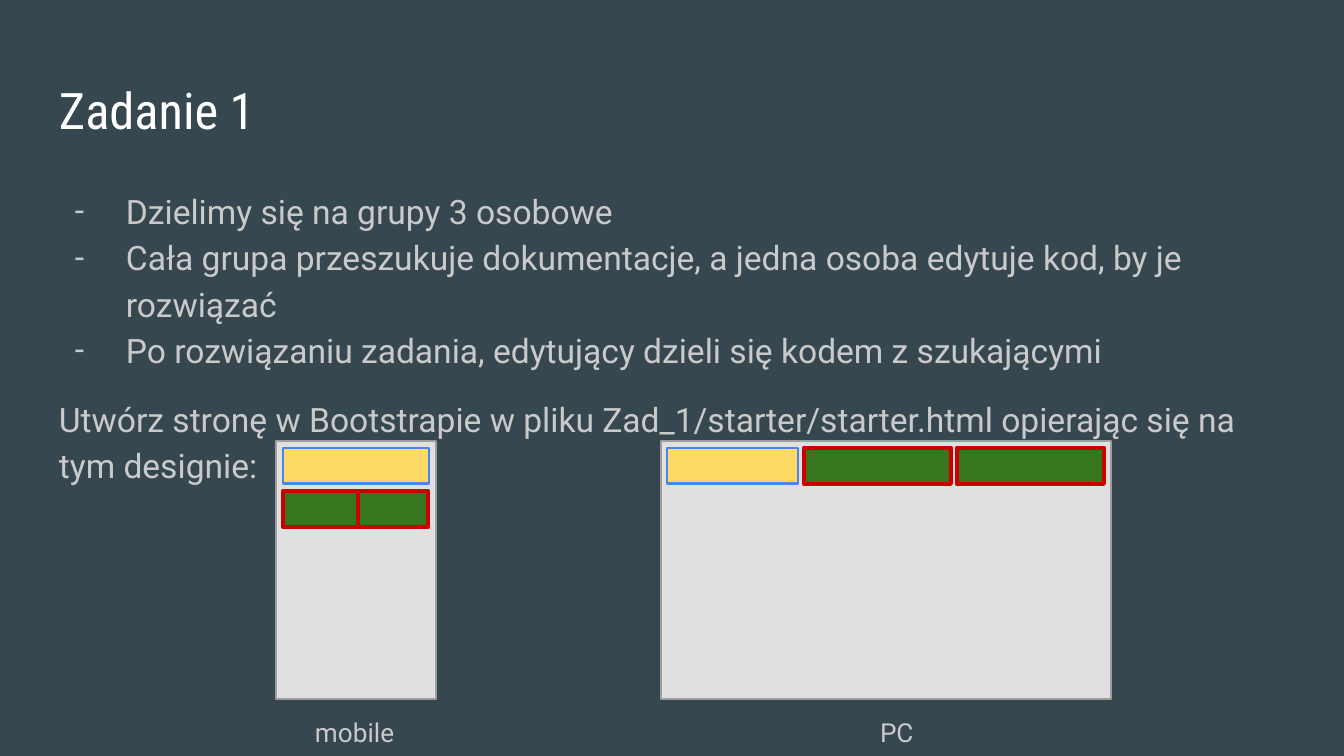
from pptx import Presentation
from pptx.dml.color import RGBColor
from pptx.enum.shapes import MSO_SHAPE
from pptx.enum.text import MSO_ANCHOR, PP_ALIGN
from pptx.oxml.ns import qn
from pptx.util import Pt
from lxml.etree import SubElement

PX = 914400 / 134.4
INSET = 13

BACKGROUND = RGBColor(0x37, 0x47, 0x4F)
WHITE = RGBColor(0xFF, 0xFF, 0xFF)
TEXT = RGBColor(0xCA, 0xCA, 0xCA)
SCREEN = RGBColor(0xE0, 0xE0, 0xE0)
SCREEN_EDGE = RGBColor(0x9E, 0x9E, 0x9E)
YELLOW = RGBColor(0xFF, 0xD9, 0x66)
BLUE = RGBColor(0x4A, 0x86, 0xE8)
GREEN = RGBColor(0x38, 0x76, 0x1D)
RED = RGBColor(0xCC, 0x00, 0x00)

SCREEN_STYLE = (SCREEN, SCREEN_EDGE, 0.75)
YELLOW_STYLE = (YELLOW, BLUE, 1.5)
GREEN_STYLE = (GREEN, RED, 2.25)

SCREEN_TOP, SCREEN_HEIGHT = 441, 258
BLOCK_HEIGHT = 36
FIRST_ROW, SECOND_ROW = 448, 491
LABEL_TOP, LABEL_HEIGHT = 703, 59

TASKS = [
    "Dzielimy się na grupy 3 osobowe",
    "Cała grupa przeszukuje dokumentacje, a jedna osoba edytuje kod, by je rozwiązać",
    "Po rozwiązaniu zadania, edytujący dzieli się kodem z szukającymi",
]
INSTRUCTION = ("Utwórz stronę w Bootstrapie w pliku Zad_1/starter/starter.html "
               "opierając się na tym designie:")


def px(length):
    return round(length * PX)


def prepare_frame(frame, wrap=True):
    frame.word_wrap = wrap
    frame.vertical_anchor = MSO_ANCHOR.TOP
    frame.margin_left = frame.margin_right = px(INSET)
    frame.margin_top = frame.margin_bottom = px(INSET)


def add_run(paragraph, text, size, color=TEXT, font="Roboto"):
    run = paragraph.add_run()
    run.text = text
    run.font.size = Pt(size)
    run.font.name = font
    run.font.color.rgb = color


def add_dash(paragraph):
    """Give the paragraph a dash bullet with a hanging indent."""
    properties = paragraph._p.get_or_add_pPr()
    properties.set("marL", str(px(67)))
    properties.set("indent", str(px(-51)))
    color = SubElement(properties, qn("a:buClr"))
    SubElement(color, qn("a:srgbClr"), val=str(TEXT))
    SubElement(properties, qn("a:buFont"), typeface="Roboto")
    SubElement(properties, qn("a:buChar"), char="-")


def set_title(slide, text):
    title = slide.shapes.title
    title.left, title.top, title.width, title.height = map(px, (46, 66, 1253, 84))
    prepare_frame(title.text_frame)
    paragraph = title.text_frame.paragraphs[0]
    paragraph.alignment = PP_ALIGN.LEFT
    add_run(paragraph, text, 27, WHITE, "Roboto Condensed")


def add_body(slide):
    box = slide.shapes.add_textbox(*map(px, (46, 172, 1253, 503)))
    frame = box.text_frame
    prepare_frame(frame)
    for index, task in enumerate(TASKS):
        paragraph = frame.add_paragraph() if index else frame.paragraphs[0]
        paragraph.line_spacing = 1.15
        add_dash(paragraph)
        add_run(paragraph, task, 18)
    paragraph = frame.add_paragraph()
    paragraph.line_spacing = 1.15
    paragraph.space_before = paragraph.space_after = Pt(12)
    add_run(paragraph, INSTRUCTION, 18)


def add_rectangle(slide, left, top, width, height, style):
    fill, line, weight = style
    shape = slide.shapes.add_shape(
        MSO_SHAPE.RECTANGLE, *map(px, (left, top, width, height)))
    shape.shadow.inherit = False
    shape.fill.solid()
    shape.fill.fore_color.rgb = fill
    shape.line.color.rgb = line
    shape.line.width = Pt(weight)


def add_label(slide, text, left, width):
    box = slide.shapes.add_textbox(*map(px, (left, LABEL_TOP, width, LABEL_HEIGHT)))
    prepare_frame(box.text_frame, wrap=False)
    add_run(box.text_frame.paragraphs[0], text, 14)


def add_mockup(slide, left, width, blocks):
    """Draw a screen and its blocks, each (left, top, width, style)."""
    add_rectangle(slide, left, SCREEN_TOP, width, SCREEN_HEIGHT, SCREEN_STYLE)
    for block_left, top, block_width, style in blocks:
        add_rectangle(slide, block_left, top, block_width, BLOCK_HEIGHT, style)


def main():
    presentation = Presentation()
    presentation.slide_width, presentation.slide_height = px(1344), px(756)
    slide = presentation.slides.add_slide(presentation.slide_layouts[5])
    slide.background.fill.solid()
    slide.background.fill.fore_color.rgb = BACKGROUND

    set_title(slide, "Zadanie 1")
    add_body(slide)
    add_mockup(slide, 276, 160, [
        (283, FIRST_ROW, 146, YELLOW_STYLE),
        (283, SECOND_ROW, 75, GREEN_STYLE),
        (358, SECOND_ROW, 70, GREEN_STYLE),
    ])
    add_label(slide, "mobile", 302, 108)
    add_mockup(slide, 661, 450, [
        (667, FIRST_ROW, 131, YELLOW_STYLE),
        (804, FIRST_ROW, 147, GREEN_STYLE),
        (957, FIRST_ROW, 147, GREEN_STYLE),
    ])
    add_label(slide, "PC", 867, 70)
    presentation.save("out.pptx")


if __name__ == "__main__":
    main()
